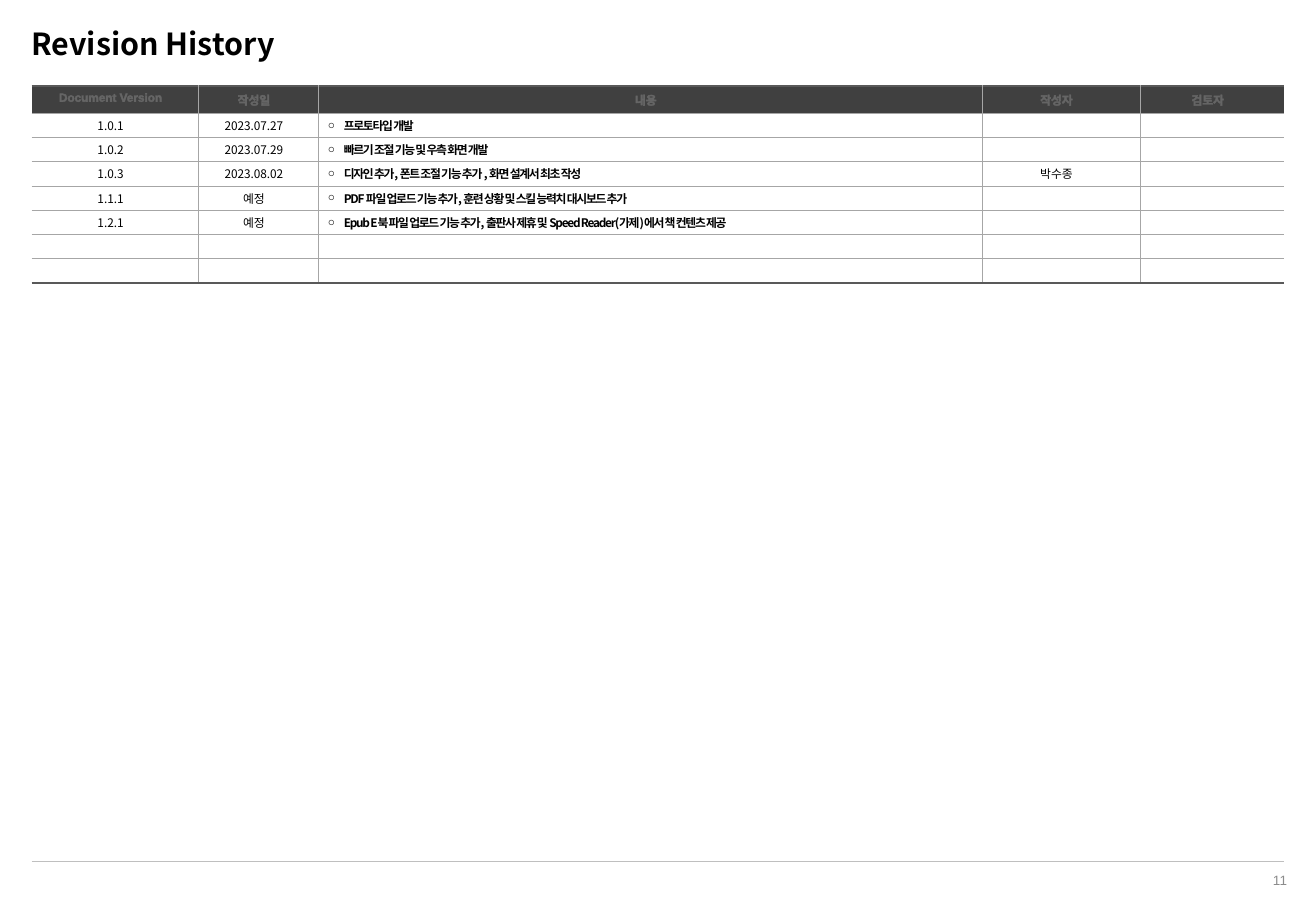
from dataclasses import dataclass
from typing import NamedTuple

from lxml import etree
from pptx import Presentation
from pptx import util as u
from pptx.dml.color import RGBColor
from pptx.enum import shapes, text
from pptx.oxml import ns


@dataclass(frozen=True)
class Theme:
    latin: str = "Arial"
    korean: str = "Noto Sans CJK KR"
    ink: str = "000000"
    white: str = "FFFFFF"
    header_fill: str = "404040"
    header_outline: str = "F2F2F2"
    grid: str = "A6A6A6"
    frame: str = "595959"
    footer_line: str = "BFBFBF"
    page_number: str = "8C8C8C"
    title_size: float = 18
    page_size: float = 8
    table_size: float = 7


class Style(NamedTuple):
    font: str
    size: float
    color: str
    bold: bool = False
    outline: str = ""
    spacing: int = 0


class Revision(NamedTuple):
    version: str = ""
    date: str = ""
    content: str = ""
    author: str = ""
    reviewer: str = ""


T = Theme()
TITLE = Style(T.korean, T.title_size, T.ink, True, T.grid)
HEADER = Style(T.latin, T.table_size, T.white, True, T.header_outline)
BODY = Style(T.korean, T.table_size, T.ink, False, T.grid)
CONTENT = BODY._replace(bold=True, spacing=-70)
PAGE = Style(T.latin, T.page_size, T.page_number)

HEADINGS = Revision("Document Version", "작성일", "내용", "작성자", "검토자")
REVISIONS = [
    Revision("1.0.1", "2023.07.27", "프로토타입 개발"),
    Revision("1.0.2", "2023.07.29", "빠르기 조절 기능 및 우측 화면 개발"),
    Revision("1.0.3", "2023.08.02",
             "디자인 추가, 폰트 조절 기능 추가 , 화면 설계서 최초 작성", "박수종"),
    Revision("1.1.1", "예정",
             "PDF 파일 업로드 기능 추가, 훈련 상황 및 스킬 능력치 대시보드 추가"),
    Revision("1.2.1", "예정",
             "Epub E북 파일 업로드 기능 추가, 출판사 제휴 및 "
             "Speed Reader(가제)에서 책 컨텐츠 제공"),
    Revision(),
    Revision(),
]
COL_WIDTHS = [1.37, 0.99, 5.46, 1.3, 1.19]
HEADER_HEIGHT, ROW_HEIGHT = 0.22, 0.2
LEFT, TABLE_TOP = 0.26, 0.71
CONTENT_COL = HEADINGS.index("내용")


def set_all(obj: object, values: dict) -> None:
    for name, value in values.items():
        setattr(obj, name, value)


def add_xml(parent, tag: str, **attrs):
    return etree.SubElement(parent, ns.qn(tag), attrs)


def add_solid(parent, color: str):
    return add_xml(add_xml(parent, "a:solidFill"), "a:srgbClr", val=color)


def write(p, value: str, style: Style, align=text.PP_ALIGN.LEFT) -> None:
    p.alignment = align
    if not value:
        add_xml(p._p, "a:endParaRPr", sz=str(int(style.size * 100)))
        return
    r = p.add_run()
    r.text = value
    set_all(r.font, {"name": style.font, "size": u.Pt(style.size), "bold": style.bold})
    r.font.color.rgb = RGBColor.from_string(style.color)
    rPr = r.font._element
    add_xml(rPr, "a:ea", typeface=T.korean)
    if style.spacing:
        rPr.set("spc", str(style.spacing))
    if style.outline:
        ln = add_xml(rPr, "a:ln", w=str(u.Pt(0.25)))
        add_xml(add_solid(ln, style.outline), "a:alpha", val="20000")
        rPr.insert(0, ln)


def add_bullet(p) -> None:
    pPr = p._p.get_or_add_pPr()
    indent = u.Inches(0.13)
    pPr.set("marL", str(indent))
    pPr.set("indent", str(-indent))
    add_xml(pPr, "a:buFont", typeface=T.latin)
    add_xml(pPr, "a:buChar", char="○")


def add_border(cell, side: str, color: str, width: float) -> None:
    ln = add_xml(cell._tc.get_or_add_tcPr(), f"a:ln{side}", w=str(u.Pt(width)))
    if width:
        add_solid(ln, color)
    else:
        add_xml(ln, "a:noFill")


def format_cell(cell, row: int, col: int, value: str) -> None:
    is_header, is_content = row == 0, row > 0 and col == CONTENT_COL
    inset = 0.04 if is_header else 0.03
    set_all(cell, {
        "margin_left": u.Inches(0.08 if is_content else 0.04),
        "margin_right": u.Inches(0.11),
        "margin_top": u.Inches(inset),
        "margin_bottom": u.Inches(inset),
        "vertical_anchor": text.MSO_ANCHOR.TOP if is_header else text.MSO_ANCHOR.MIDDLE,
    })
    # Grid lines inside, heavier frame above and below, open sides
    grid, last_col = (T.grid, 0.25), len(COL_WIDTHS) - 1
    add_border(cell, "L", T.grid, 0.25 if col else 0)
    add_border(cell, "R", T.grid, 0.25 if col < last_col else 0)
    add_border(cell, "T", *((T.frame, 1.5) if is_header else grid))
    add_border(cell, "B", *((T.frame, 1) if row == len(REVISIONS) else grid))
    if is_header:
        cell.fill.solid()
        cell.fill.fore_color.rgb = RGBColor.from_string(T.header_fill)
    else:
        cell.fill.background()

    p = cell.text_frame.paragraphs[0]
    if is_content:
        write(p, value, CONTENT)
        if value:
            add_bullet(p)
    else:
        write(p, value, HEADER if is_header else BODY, text.PP_ALIGN.CENTER)


prs = Presentation()
set_all(prs, {"slide_width": u.Inches(10.83), "slide_height": u.Inches(7.5)})
slide = prs.slides.add_slide(prs.slide_layouts[5])

# Footer line
y = u.Inches(7.09)
line = slide.shapes.add_connector(
    shapes.MSO_CONNECTOR.STRAIGHT, u.Inches(LEFT), y, u.Inches(10.57), y)
line.line.width = u.Pt(0.5)
line.line.color.rgb = RGBColor.from_string(T.footer_line)
add_xml(line._element.spPr, "a:effectLst")

# Page number
sp = slide.shapes.add_textbox(u.Inches(8.25), u.Inches(7.05), u.Inches(2.44), u.Inches(0.4))
set_all(sp.text_frame, {"word_wrap": True, "vertical_anchor": text.MSO_ANCHOR.MIDDLE})
write(sp.text_frame.paragraphs[0], "11", PAGE, text.PP_ALIGN.RIGHT)

# Title
title = slide.shapes.title
set_all(title, {"left": u.Inches(0.16), "top": u.Inches(0.16),
                "width": u.Inches(2.32), "height": u.Inches(0.4)})
set_all(title.text_frame, {"word_wrap": False, "auto_size": text.MSO_AUTO_SIZE.NONE,
                           "vertical_anchor": text.MSO_ANCHOR.MIDDLE})
write(title.text_frame.paragraphs[0], "Revision History", TITLE)

# Revision table
rows = [HEADINGS, *REVISIONS]
table = slide.shapes.add_table(
    len(rows), len(COL_WIDTHS), u.Inches(LEFT), u.Inches(TABLE_TOP),
    u.Inches(sum(COL_WIDTHS)), u.Inches(HEADER_HEIGHT + ROW_HEIGHT * len(REVISIONS))).table
set_all(table, {"first_row": False, "horz_banding": False})
for column, width in zip(table.columns, COL_WIDTHS):
    column.width = u.Inches(width)
for i, revision in enumerate(rows):
    table.rows[i].height = u.Inches(ROW_HEIGHT if i else HEADER_HEIGHT)
    for j, value in enumerate(revision):
        format_cell(table.cell(i, j), i, j, value)

prs.save("out.pptx")
